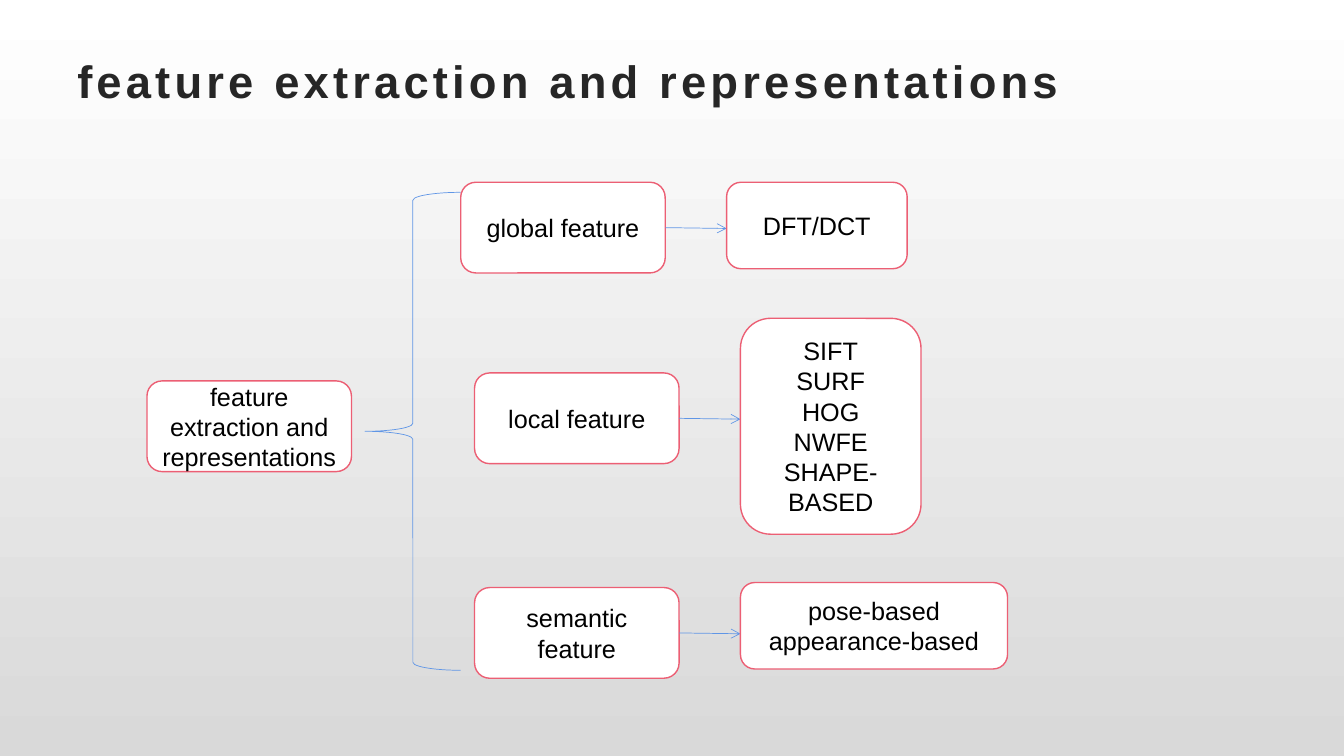
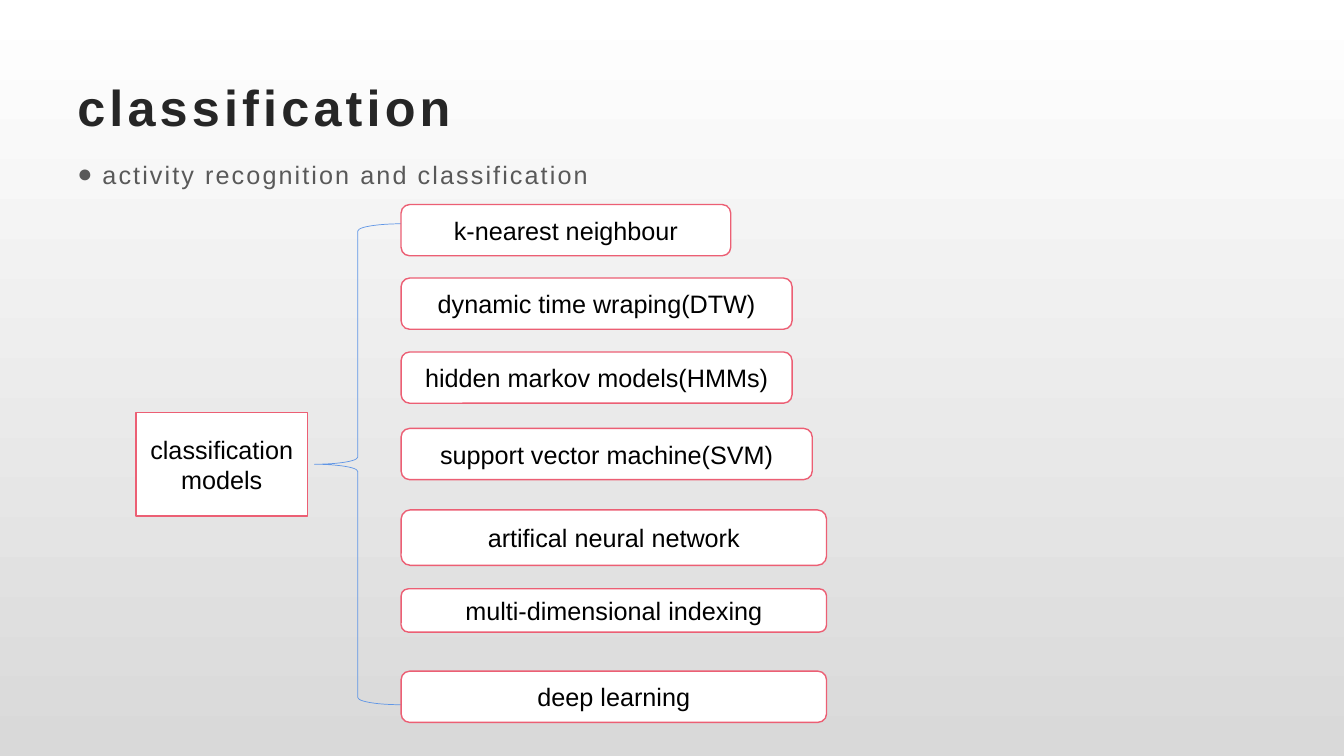
import pptx
import pptx.util
import pptx.dml.color
import pptx.enum.shapes
import pptx.enum.text
import pptx.oxml
import pptx.oxml.ns

SHAPE = pptx.enum.shapes.MSO_SHAPE
ALIGN = pptx.enum.text.PP_ALIGN
ANCHOR = pptx.enum.text.MSO_ANCHOR
Pt = pptx.util.Pt

FONT = "Arial"
PINK, BLUE, WHITE, BLACK = "EC5F74", "6096E6", "FFFFFF", "000000"
TITLE_INK, BODY_INK, GREY = "262626", "595959", "D9D9D9"
COLUMNS, ROWS = 32, 18
LEFT, WIDTH = 1.6, 28.8


def rgb(value):
    return pptx.dml.color.RGBColor.from_string(value)


def add_xml(parent, tag, **attrs):
    el = pptx.oxml.parse_xml(f"<a:{tag} {pptx.oxml.ns.nsdecls('a')}/>")
    for name, value in attrs.items():
        el.set(name, value)
    parent.append(el)


class Deck:
    def __init__(self):
        self.prs = pptx.Presentation()
        self.prs.slide_width = pptx.util.Emu(12192000)
        self.prs.slide_height = pptx.util.Inches(7.5)
        self.s = None
        fill = self.prs.slide_master.background.fill
        fill.gradient()
        fill.gradient_angle = 270
        for stop, position, value in zip(fill.gradient_stops, (0, 1), (WHITE, GREY)):
            stop.position = position
            stop.color.rgb = rgb(value)

    def x(self, columns):
        return int(self.prs.slide_width * columns / COLUMNS)

    def y(self, rows):
        return int(self.prs.slide_height * rows / ROWS)

    def area(self, left, top, width, height):
        return self.x(left), self.y(top), self.x(width), self.y(height)

    def move(self, sp, *area):
        sp.left, sp.top, sp.width, sp.height = self.area(*area)

    def run(self, p, text, size, color, bold=False, spacing=0):
        r = p.add_run()
        r.text = text
        r.font.name = FONT
        r.font.size = Pt(size)
        r.font.bold = bold
        r.font.color.rgb = rgb(color)
        if spacing:
            r._r.get_or_add_rPr().set("spc", str(int(spacing * 100)))

    def slide(self, layout, title, size=36, top=1.6):
        self.s = self.prs.slides.add_slide(self.prs.slide_layouts[layout])
        sp = self.s.shapes.title
        self.move(sp, LEFT, top, WIDTH, 1.85)
        tf = sp.text_frame
        tf.auto_size = pptx.enum.text.MSO_AUTO_SIZE.NONE
        tf.vertical_anchor = ANCHOR.MIDDLE
        p = tf.paragraphs[0]
        p.alignment = ALIGN.LEFT
        self.run(p, title, size, TITLE_INK, bold=True, spacing=3)

    def bullet(self, text):
        sp = self.s.placeholders[1]
        self.move(sp, LEFT, 3.45, WIDTH, 12.96)
        tf = sp.text_frame
        tf.auto_size = pptx.enum.text.MSO_AUTO_SIZE.NONE
        p = tf.paragraphs[0]
        p.line_spacing = 1.3
        p.space_before, p.space_after = Pt(0), Pt(10)
        pPr = p._p.get_or_add_pPr()
        indent = pptx.util.Inches(0.25)
        pPr.set("marL", str(indent))
        pPr.set("indent", str(-indent))
        add_xml(pPr, "buFont", typeface=FONT)
        add_xml(pPr, "buChar", char="●")
        self.run(p, text, 18, BODY_INK, spacing=1.5)

    def box(self, lines, *area, kind=SHAPE.ROUNDED_RECTANGLE):
        sp = self.s.shapes.add_shape(kind, *self.area(*area))
        sp.shadow.inherit = False
        sp.fill.solid()
        sp.fill.fore_color.rgb = rgb(WHITE)
        sp.line.color.rgb = rgb(PINK)
        sp.line.width = Pt(1)
        tf = sp.text_frame
        tf.word_wrap = True
        tf.vertical_anchor = ANCHOR.MIDDLE
        for i, line in enumerate(lines):
            p = tf.add_paragraph() if i else tf.paragraphs[0]
            p.alignment = ALIGN.CENTER
            self.run(p, line, 18, BLACK)
        return sp

    def brace(self, *area):
        sp = self.s.shapes.add_shape(SHAPE.LEFT_BRACE, *self.area(*area))
        sp.shadow.inherit = False
        sp.fill.background()
        sp.line.color.rgb = rgb(BLUE)
        sp.line.width = Pt(0.5)

    def arrow(self, source, length):
        x = source.left + source.width
        y = source.top + source.height // 2
        cn = self.s.shapes.add_connector(
            pptx.enum.shapes.MSO_CONNECTOR.STRAIGHT,
            x, y, x + self.x(length), y + self.y(0.02))
        cn.begin_connect(source, 3)
        cn.line.color.rgb = rgb(BLUE)
        cn.line.width = Pt(0.5)
        add_xml(cn.line._get_or_add_ln(), "tailEnd", type="arrow")
        add_xml(cn._element.spPr, "effectLst")


def features(deck):
    deck.slide(5, "feature extraction and representations", size=32.4, top=0.98)
    width, height, gap = 4.87, 2.16, 1.46
    deck.box(["feature extraction and representations"], 3.5, 9.07, width, height)
    deck.brace(8.69, 4.58, 2.28, 11.38)
    branches = [
        ("global feature", 10.97, 4.34, ["DFT/DCT"], 4.34, 4.3, 2.06),
        ("local feature", 11.3, 8.88,
         ["SIFT", "SURF", "HOG", "NWFE", "SHAPE-BASED"], 7.58, 4.3, 5.14),
        ("semantic feature", 11.3, 13.99,
         ["pose-based", "appearance-based"], 13.87, 6.36, 2.06),
    ]
    for name, left, top, methods, methods_top, methods_width, methods_height in branches:
        feature = deck.box([name], left, top, width, height)
        deck.arrow(feature, gap)
        deck.box(methods, left + width + gap, methods_top, methods_width, methods_height)


def classification(deck):
    deck.slide(1, "classification")
    deck.bullet("activity recognition and classification")
    deck.box(["classification models"], 3.24, 9.82, 4.08, 2.47, kind=SHAPE.RECTANGLE)
    deck.brace(7.49, 5.33, 2.06, 11.45)
    models = [
        ("k-nearest neighbour", 4.87, 7.85, 1.22),
        ("dynamic time wraping(DTW)", 6.62, 9.31, 1.22),
        ("hidden markov models(HMMs)", 8.38, 9.31, 1.22),
        ("support vector machine(SVM)", 10.2, 9.79, 1.22),
        ("artifical neural network", 12.14, 10.13, 1.32),
        ("multi-dimensional indexing", 14.02, 10.13, 1.03),
        ("deep learning", 15.98, 10.13, 1.22),
    ]
    for name, top, width, height in models:
        deck.box([name], 9.55, top, width, height)


def main():
    deck = Deck()
    features(deck)
    classification(deck)
    deck.prs.save("out.pptx")


if __name__ == "__main__":
    main()
